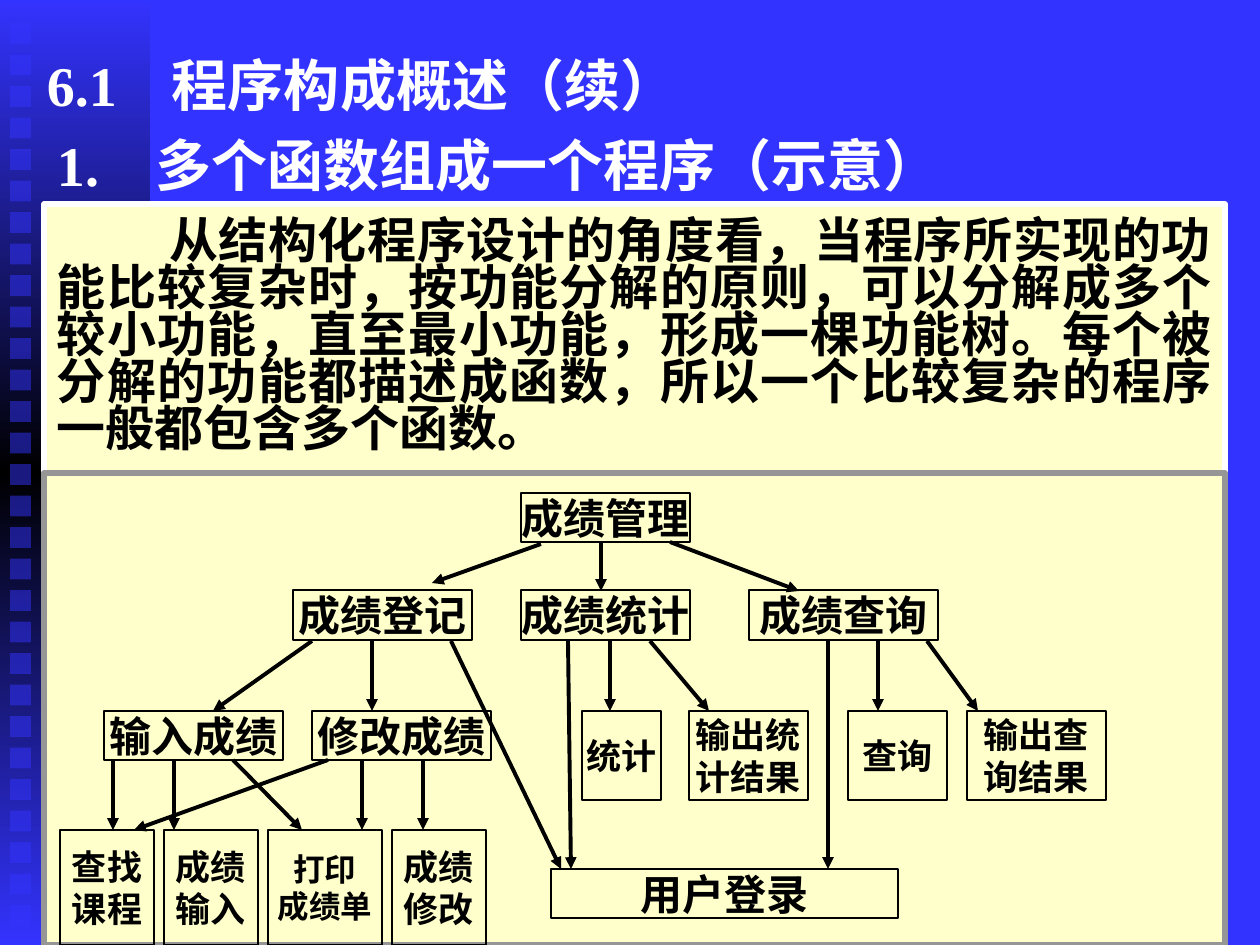
from copy import deepcopy

from lxml import etree
from pptx import Presentation
from pptx import util as u
from pptx.dml.color import RGBColor
from pptx.enum import shapes, text
from pptx.oxml.ns import qn

PX = 914400 / 126
FONT = "Times New Roman"
COLORS = {"blue": "3333FF", "black": "000000", "white": "FFFFFF",
          "cream": "FFFFCC", "grey": "969696"}

# text, (left, top, width, height), tab position
HEADINGS = [
    ("6.1\t程序构成概述（续）", (34, 45, 1166, 79), 125),
    ("1.\t多个函数组成一个程序（示意）", (44, 125, 1166, 79), 98),
]
BODY = ("从结构化程序设计的角度看，当程序所实现的功能比较复杂时，按功能分解的原则，"
        "可以分解成多个较小功能，直至最小功能，形成一棵功能树。每个被分解的功能都描述成函数，"
        "所以一个比较复杂的程序一般都包含多个函数。")
# (top, height): [(lines, left, width, font size)]
NODES = {
    (493, 49): [(["成绩管理"], 521, 169, 24)],
    (590, 50): [(["成绩登记"], 293, 179, 24), (["成绩统计"], 521, 169, 24),
                (["成绩查询"], 749, 189, 24)],
    (711, 49): [(["输入成绩"], 104, 179, 24), (["修改成绩"], 312, 179, 24)],
    (711, 89): [(["统计"], 582, 79, 20), (["输出统", "计结果"], 689, 119, 20),
                (["查询"], 848, 99, 20), (["输出查", "询结果"], 967, 139, 20)],
    (830, 115): [(["查找", "课程"], 60, 94, 20), (["成绩", "输入"], 164, 94, 20),
                 (["打印", "成绩单"], 268, 114, 18), (["成绩", "修改"], 392, 94, 20)],
    (869, 49): [(["用户登录"], 551, 347, 24)],
}
# (start y, end y): [(start x, end x)]
ARROWS = {
    (544, 583): [(541, 432)],
    (542, 591): [(601, 601), (670, 799)],
    (641, 711): [(312, 213), (372, 372), (610, 610), (650, 709), (878, 878), (927, 978)],
    (641, 869): [(451, 561), (568, 571), (828, 828)],
    (760, 830): [(113, 113), (174, 174), (233, 302), (328, 134), (362, 362), (423, 423)],
}


def px(value):
    return u.Emu(round(value * PX))


def rgb(name):
    return RGBColor.from_string(COLORS[name])


def add_rect(slide, place, fill=None, line=None, weight=1):
    rect = slide.shapes.add_shape(shapes.MSO_SHAPE.RECTANGLE, *map(px, place))
    rect.shadow.inherit = False
    if fill:
        rect.fill.solid()
        rect.fill.fore_color.rgb = rgb(fill)
    else:
        rect.fill.background()
    if line:
        rect.line.color.rgb = rgb(line)
        rect.line.width = u.Pt(weight)
    else:
        rect.line.fill.background()
    return rect


def set_margins(frame, left, top, right, bottom):
    frame.margin_left, frame.margin_top = px(left), px(top)
    frame.margin_right, frame.margin_bottom = px(right), px(bottom)


def style(para, size, color):
    para.font.name = FONT
    para.font.size = u.Pt(size)
    para.font.bold = True
    para.font.color.rgb = rgb(color)


def add_side_band(slide):
    band = add_rect(slide, (0, 0, 150, 945))
    band.fill.gradient()
    band.fill.gradient_angle = 90
    stop_list = next(band._element.spPr.iter(qn("a:gsLst")))
    stop_list.append(deepcopy(stop_list[0]))
    stops = [(0, "blue"), (0.5, "black"), (1, "blue")]
    for stop, (position, color) in zip(band.fill.gradient_stops, stops):
        stop.position = position
        stop.color.rgb = rgb(color)
    for i in range(29):
        square = add_rect(slide, (10, 23 + 31.5 * i, 21, 21), "blue")
        color = next(square._element.spPr.iter(qn("a:srgbClr")))
        etree.SubElement(color, qn("a:alpha"), val="50000")


def add_heading(slide, words, place, tab):
    box = slide.shapes.add_textbox(*map(px, place))
    frame = box.text_frame
    frame.word_wrap = True
    frame.vertical_anchor = text.MSO_ANCHOR.MIDDLE
    set_margins(frame, 13, 6, 13, 6)
    para = frame.paragraphs[0]
    para.text = words
    tabs = etree.SubElement(para._p.get_or_add_pPr(), qn("a:tabLst"))
    etree.SubElement(tabs, qn("a:tab"), pos=str(px(tab)), algn="l")
    style(para, 32, "white")


def add_body(slide):
    panel = add_rect(slide, (44, 204, 1181, 269), "cream", "white", 3)
    frame = panel.text_frame
    frame.word_wrap = True
    frame.vertical_anchor = text.MSO_ANCHOR.TOP
    set_margins(frame, 13, 17, 13, 6)
    para = frame.paragraphs[0]
    para.text = BODY
    para.alignment = text.PP_ALIGN.JUSTIFY
    para.line_spacing = 0.8
    para._p.get_or_add_pPr().set("indent", str(px(112)))
    style(para, 28, "black")


def add_node(slide, lines, place, size):
    node = add_rect(slide, place, line="black")
    frame = node.text_frame
    frame.word_wrap = False
    frame.vertical_anchor = text.MSO_ANCHOR.MIDDLE
    set_margins(frame, 0, 0, 0, 0)
    frame.text = "\n".join(lines)
    for para in frame.paragraphs:
        para.alignment = text.PP_ALIGN.CENTER
        style(para, size, "black")


def add_arrow(slide, start, end):
    arrow = slide.shapes.add_connector(
        shapes.MSO_CONNECTOR.STRAIGHT, *map(px, start + end))
    arrow.line.color.rgb = rgb("black")
    arrow.line.width = u.Pt(2.25)
    etree.SubElement(arrow.line._get_or_add_ln(), qn("a:tailEnd"), type="triangle")
    etree.SubElement(arrow._element.spPr, qn("a:effectLst"))


def main():
    deck = Presentation()
    deck.slide_width, deck.slide_height = px(1260), px(945)
    slide = deck.slides.add_slide(deck.slide_layouts[6])
    slide.background.fill.solid()
    slide.background.fill.fore_color.rgb = rgb("blue")
    add_side_band(slide)
    for heading in HEADINGS:
        add_heading(slide, *heading)
    add_body(slide)
    add_rect(slide, (44, 473, 1181, 472), "cream", "grey", 3)
    for (top, height), row in NODES.items():
        for lines, left, width, size in row:
            add_node(slide, lines, (left, top, width, height), size)
    for (start_y, end_y), row in ARROWS.items():
        for start_x, end_x in row:
            add_arrow(slide, (start_x, start_y), (end_x, end_y))
    deck.save("out.pptx")


if __name__ == "__main__":
    main()
